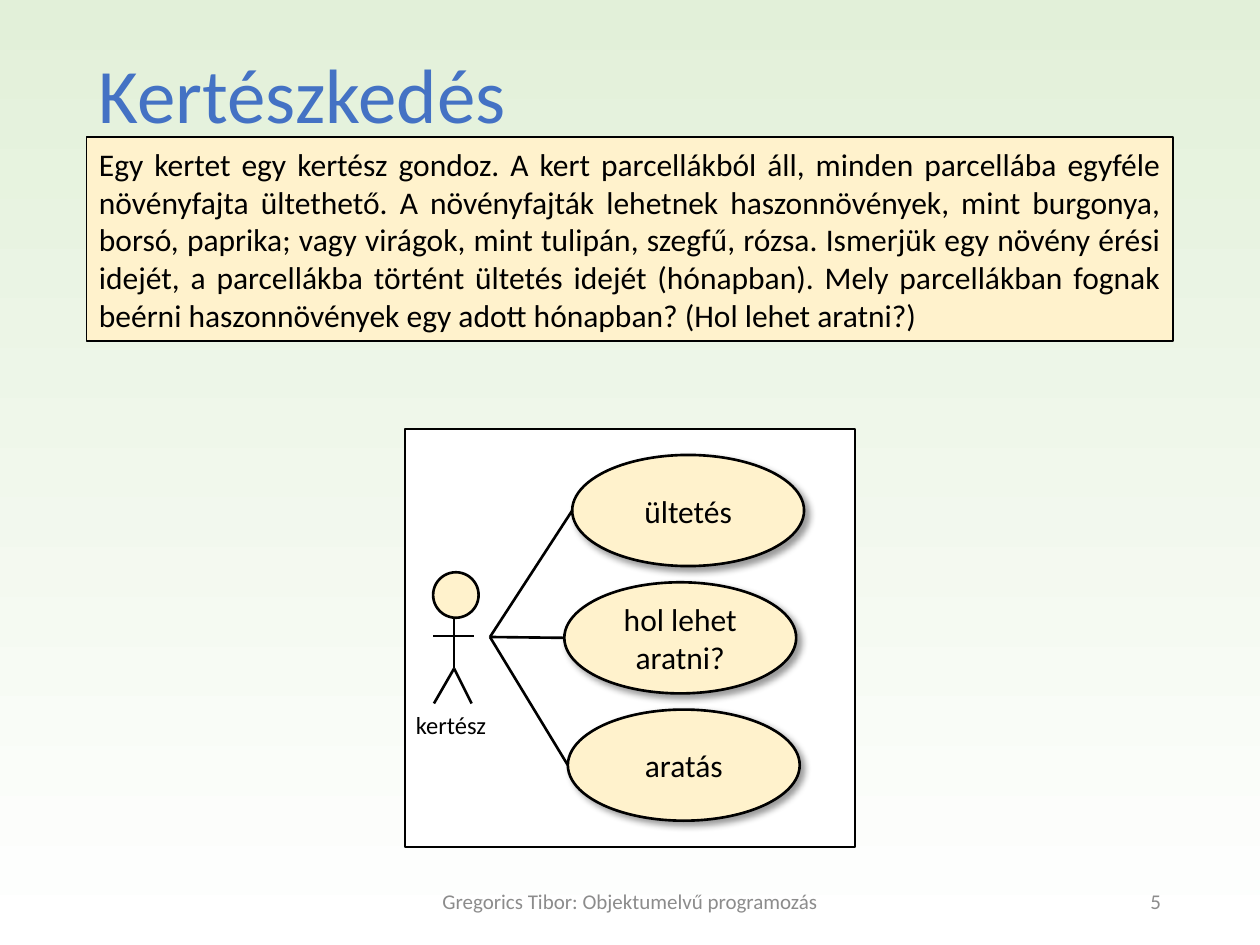
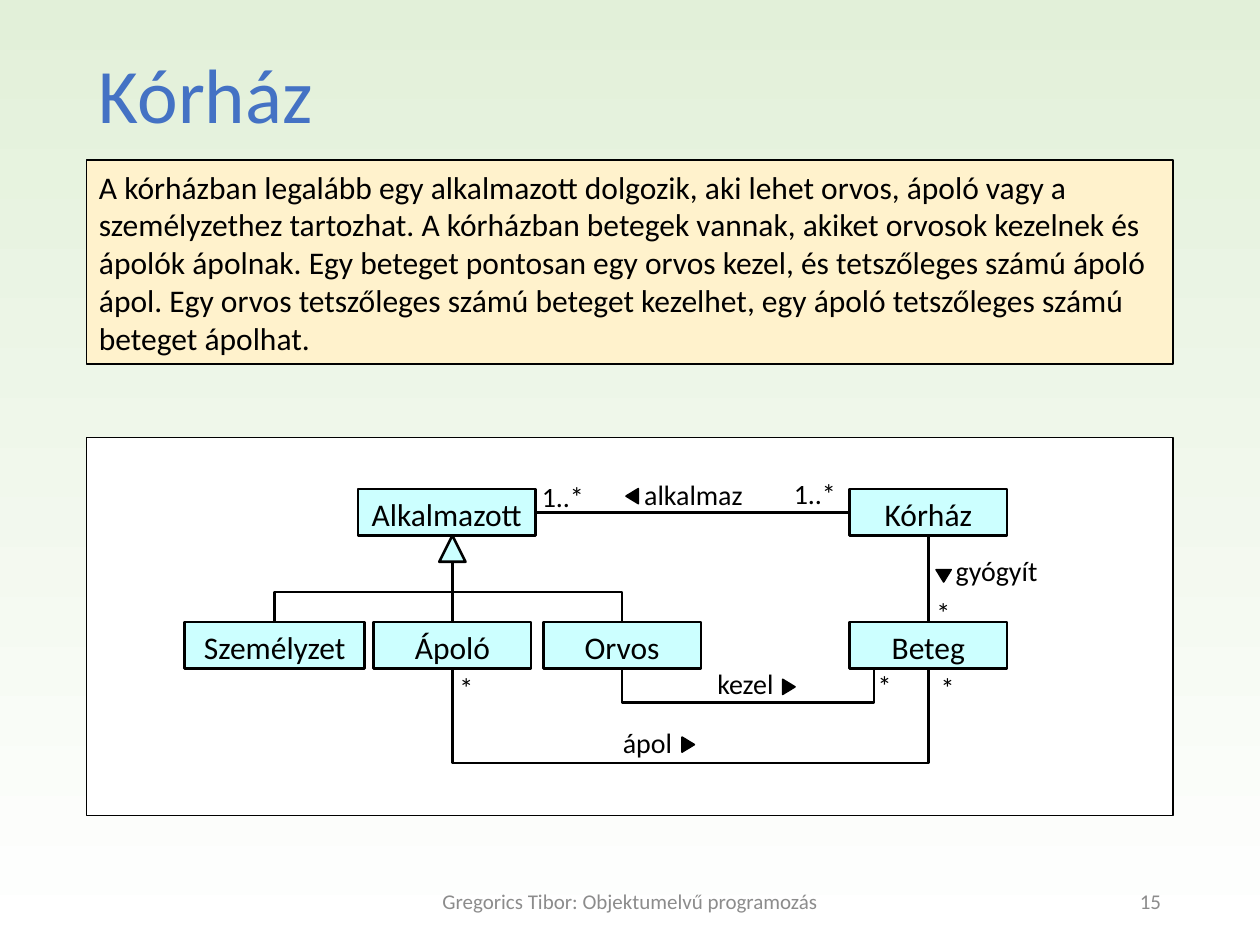
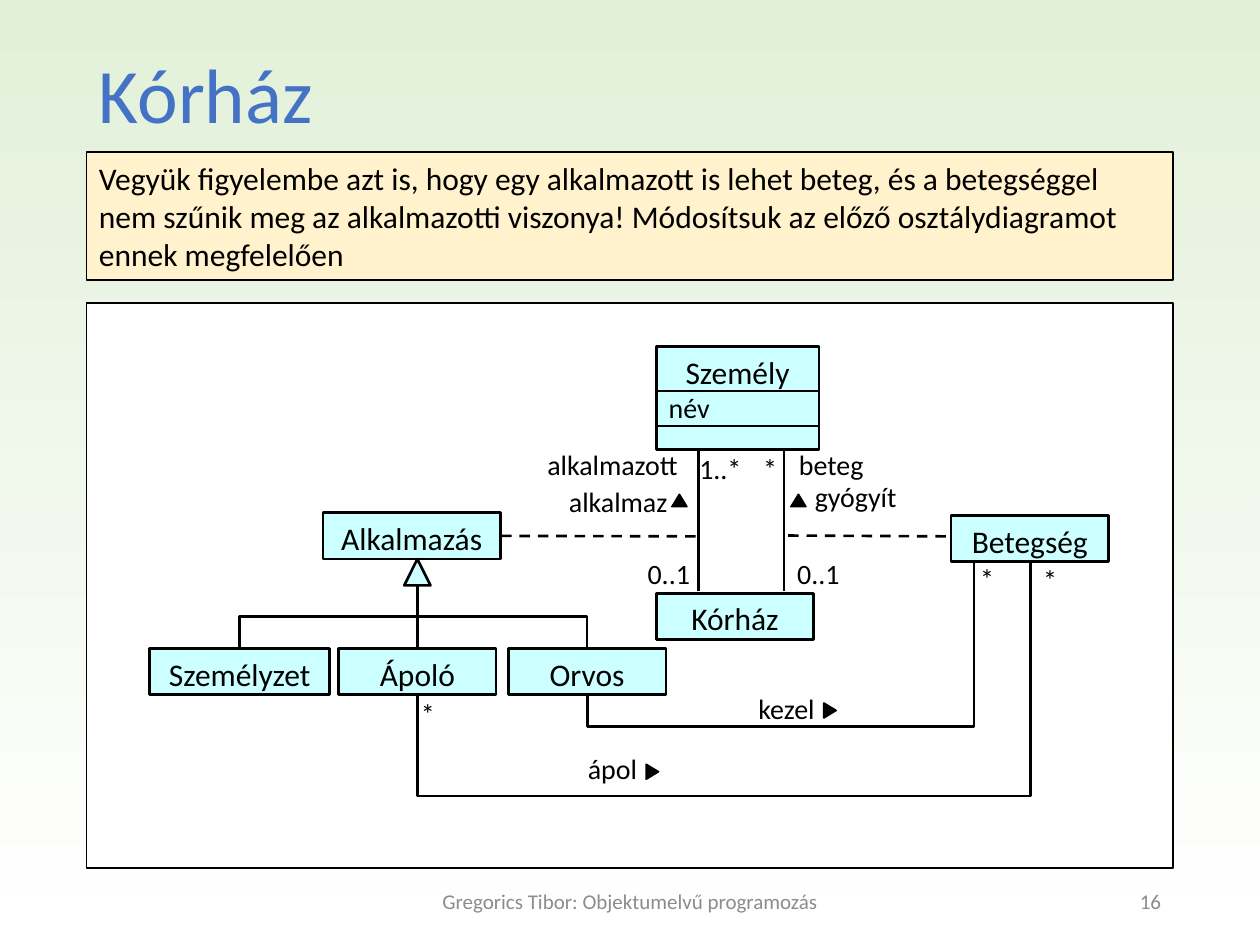
import pptx
import pptx.dml.color
import pptx.enum.dml
import pptx.enum.shapes
import pptx.enum.text
import pptx.oxml
import pptx.oxml.ns
import pptx.util

Pt = pptx.util.Pt
KIND = pptx.enum.shapes.MSO_SHAPE
LINK = pptx.enum.shapes.MSO_CONNECTOR
SIDE = pptx.enum.text.PP_ALIGN
ROW = pptx.enum.text.MSO_ANCHOR
NS = pptx.oxml.ns.nsdecls("a")

HUES = {"ink": "000000", "paper": "FFFFFF", "mint": "E2F0D9", "cream": "FFF2CC",
        "cyan": "CCFFFF", "blue": "4472C4", "gray": "8C8C8C"}
FONTS = {
    "title": {"size": Pt(44), "hue": "blue"},
    "body": {"size": Pt(18), "hue": "ink"},
    "label": {"size": Pt(16), "hue": "ink"},
    "actor": {"size": Pt(14), "hue": "ink"},
    "foot": {"size": Pt(12), "hue": "gray"},
}
TOP, LEFT, BOTTOM, RIGHT = range(4)
EDGE, SPAN = 49.5, 621
HIGH = 26.5  # height of class boxes and labels
WIDE = 90    # width of an ordinary class box


def tint(name):
    return pptx.dml.color.RGBColor.from_string(HUES[name])


# Basic parts
def write(shape, text, style, align=SIDE.LEFT, anchor=ROW.TOP, wrap=True):
    frame = shape.text_frame
    for key, val in {"word_wrap": wrap, "vertical_anchor": anchor}.items():
        setattr(frame, key, val)
    para = frame.paragraphs[0]
    add_run(para, text, style, align)
    return para


def add_run(para, text, style, align):
    para.alignment = align
    run = para.add_run()
    run.text = text
    look = dict(FONTS[style], name="Calibri")
    run.font.color.rgb = tint(look.pop("hue"))
    for key, val in look.items():
        setattr(run.font, key, val)


def note(slide, box, text, style, **look):
    area = slide.shapes.add_textbox(*map(Pt, box))
    return write(area, text, style, **look)


def draw(slide, kind, box, fill, weight=1.5):
    shape = slide.shapes.add_shape(kind, *map(Pt, box))
    shape.shadow.inherit = False
    if fill:
        shape.fill.solid()
        shape.fill.fore_color.rgb = tint(fill)
    else:
        shape.fill.background()
    shape.line.color.rgb = tint("ink")
    shape.line.width = Pt(weight)
    return shape


def wire(slide, start, end, kind=LINK.STRAIGHT, dash=False):
    line = slide.shapes.add_connector(kind, *map(Pt, (*start, *end)))
    line.line.color.rgb = tint("ink")
    line.line.width = Pt(1.5)
    if dash:
        line.line.dash_style = pptx.enum.dml.MSO_LINE.DASH
    line._element.spPr.append(pptx.oxml.parse_xml(f"<a:effectLst {NS}/>"))
    return line


def bend(slide, start, end, turn):
    """Elbow that leaves start downwards, crosses at height turn, and reaches end."""
    (x1, y1), (x2, y2) = start, end
    y2 = max(y2, y1 + 0.5)
    run, drop = abs(x2 - x1), y2 - y1
    line = wire(slide, start, end, LINK.ELBOW)
    sizes = {"left": (x1 + x2 - drop) / 2, "top": (y1 + y2 - run) / 2,
             "width": drop, "height": run}
    for key, val in sizes.items():
        setattr(line, key, Pt(val))
    props = line._element.spPr
    frame = props.find(pptx.oxml.ns.qn("a:xfrm"))
    for key, val in {"rot": "5400000", "flipH": "0", "flipV": str(int(x2 > x1))}.items():
        frame.set(key, val)
    ratio = round((turn - y1) / drop * 100000)
    guides = props.find(pptx.oxml.ns.qn("a:prstGeom")).get_or_add_avLst()
    guides.append(pptx.oxml.parse_xml(f'<a:gd {NS} name="adj1" fmla="val {ratio}"/>'))


def shade(shape):
    props = shape._element.spPr
    props.remove(props.find(pptx.oxml.ns.qn("a:effectLst")))
    props.append(pptx.oxml.parse_xml(
        f'<a:effectLst {NS}><a:outerShdw blurRad="{Pt(4)}" dist="{Pt(3)}" dir="2700000" '
        f'algn="tl" rotWithShape="0"><a:srgbClr val="{HUES["ink"]}">'
        '<a:alpha val="40000"/></a:srgbClr></a:outerShdw></a:effectLst>'))


# Shared frame of every slide
def page(deck, title, number, task, box, align=SIDE.LEFT):
    slide = deck.slides.add_slide(deck.slide_layouts[6])
    head = note(slide, (EDGE, 29, SPAN, 104), title, "title")
    head.line_spacing = 0.9
    note(slide, (238.5, 500.5, 243, 29), "Gregorics Tibor: Objektumelvű programozás",
         "foot", align=SIDE.CENTER, anchor=ROW.MIDDLE)
    note(slide, (508.5, 500.5, 162, 29), str(number), "foot",
         align=SIDE.RIGHT, anchor=ROW.MIDDLE)
    brief = draw(slide, KIND.RECTANGLE, box, "cream", 1)
    write(brief, task, "body", align=align, anchor=ROW.MIDDLE)
    return slide


def panel(slide, box):
    draw(slide, KIND.RECTANGLE, box, "paper", 1)

    def at(x, y):
        return box[0] + x, box[1] + y
    return at


# Use case diagram
def actor(slide, at):
    for start, end in [((28, 107), (28, 137)), ((28, 137), (38, 157)),
                       ((28, 137), (16.5, 157)), ((16, 118.5), (39.5, 118.5))]:
        wire(slide, at(*start), at(*end))
    draw(slide, KIND.OVAL, (*at(16, 82), 26, 26), "cream")
    note(slide, (*at(-1, 157), 55, 24), "kertész", "actor", wrap=False)


def cases(slide, box):
    at = panel(slide, box)
    actor(slide, at)
    wide, high = 132.5, 63.5
    for row, (name, x) in enumerate([("ültetés", 95.5), ("hol lehet aratni?", 91),
                                     ("aratás", 93)]):
        y = 15 + 72.75 * row
        oval = draw(slide, KIND.OVAL, (*at(x, y), wide, high), "cream")
        shade(oval)
        write(oval, name, "body", SIDE.CENTER, ROW.MIDDLE)
        wire(slide, at(x, y + high / 2), at(48.5, 119))


# Class diagrams
def entity(slide, spot, name, wide=WIDE, high=HIGH):
    box = draw(slide, KIND.RECTANGLE, (*spot, wide, high), "cyan")
    write(box, name, "body", SIDE.CENTER)
    return box


def tree(slide, spot, name, drop):
    """Base class at spot with its three heirs drop points lower."""
    x, y = spot
    base = entity(slide, spot, name, 101.5)
    tip, foot = x + 54, y + HIGH + 15
    draw(slide, KIND.ISOSCELES_TRIANGLE, (tip - 7.5, y + HIGH, 15, 15), "cyan")
    for heir, shift, wide in [("Személyzet", -99, 103), ("Ápoló", 9, WIDE),
                              ("Orvos", 106, WIDE)]:
        entity(slide, (x + shift, y + drop), heir, wide)
        mid = x + shift + wide / 2
        if mid == tip:
            wire(slide, (tip, foot), (mid, y + drop))
        else:
            bend(slide, (tip, foot), (mid, y + drop), (foot + y + drop) / 2)
    return base


def marks(slide, at, labels, heads):
    for text, x, y, wide in labels:
        align = SIDE.CENTER if text.isalpha() else SIDE.LEFT
        note(slide, (*at(x, y), wide, HIGH), text, "label", align=align)
    for x, y, turn in heads:
        head = draw(slide, KIND.ISOSCELES_TRIANGLE, (*at(x, y), 8.5, 7), "ink", 1)
        head.rotation = turn


def ward(slide, box):
    at = panel(slide, box)
    staff = tree(slide, at(155, 29.5), "Alkalmazott", 76)
    house = entity(slide, at(436, 29.5), "Kórház")
    sick = entity(slide, at(436, 105.5), "Beteg")
    for one, out, two, into in [(house, LEFT, staff, RIGHT), (sick, TOP, house, BOTTOM)]:
        line = wire(slide, (0, 0), (0, 0))
        line.begin_connect(one, out)
        line.end_connect(two, into)
    bend(slide, at(450, 132), at(306, 132), at(0, 151)[1])
    bend(slide, at(481, 132), at(209, 132), at(0, 185)[1])
    marks(slide, at, [
        ("alkalmaz", 306, 19.5, 81.5), ("gyógyít", 481, 62.5, 78),
        ("ápol", 281.5, 161, 78), ("kezel", 346, 127.5, 61),
        ("1..*", 253, 20.5, 42), ("1..*", 397, 18.5, 42),
        ("*", 206, 129.5, 17), ("*", 445, 128.5, 17),
        ("*", 481, 129.5, 17), ("*", 478.5, 87, 17),
    ], [(397, 139, 90), (307.5, 30, 270), (339.5, 172, 90), (485.5, 75.5, 180)])


def person(slide, spot):
    box = entity(slide, spot, "Személy", 93, 59)
    add_run(box.text_frame.add_paragraph(), "név", "label", SIDE.LEFT)
    draw(slide, KIND.RECTANGLE, (spot[0], spot[1] + 25.5, 93, 20), None)


def roles(slide, box):
    at = panel(slide, box)
    job = tree(slide, at(135, 120), "Alkalmazás", 77.5)
    entity(slide, at(325.5, 166), "Kórház")
    entity(slide, at(494, 121.5), "Betegség")
    person(slide, at(325.5, 25))
    for x in (349.5, 398.5):
        wire(slide, at(x, 165), at(x, 84))
    wire(slide, at(348, 133.5), at(236.5, 133), dash=True).end_connect(job, RIGHT)
    wire(slide, at(491, 133.5), at(397, 133), dash=True)
    bend(slide, at(507, 148), at(286, 224), at(0, 242)[1])
    bend(slide, at(539.5, 148), at(189, 224), at(0, 282)[1])
    marks(slide, at, [
        ("alkalmazott", 254.5, 79, 92), ("beteg", 396, 79, 59),
        ("alkalmaz", 263, 100.5, 81.5), ("gyógyít", 400.5, 97.5, 78),
        ("ápol", 261.5, 253, 78), ("kezel", 369.5, 218.5, 61),
        ("1..*", 343, 81.5, 42), ("*", 379.5, 81.5, 24),
        ("0..1", 313.5, 141.5, 42), ("0..1", 399, 141.5, 42),
        ("*", 184, 221.5, 17), ("*", 503.5, 144.5, 17), ("*", 539.5, 145, 17),
    ], [(420.5, 229.5, 90), (319, 264.5, 90), (334.5, 109.5, 0), (402.5, 109.5, 0)])


def main():
    deck = pptx.Presentation()
    deck.slide_width, deck.slide_height = Pt(720), Pt(540)

    # Background
    fill = deck.slide_master.background.fill
    fill.gradient()
    fill.gradient_angle = 90
    for stop, name in zip(fill.gradient_stops, ("paper", "mint")):
        stop.color.rgb = tint(name)

    # Slides
    cases(page(
        deck, "Kertészkedés", 5,
        "Egy kertet egy kertész gondoz. A kert parcellákból áll, minden parcellába egyféle "
        "növényfajta ültethető. A növényfajták lehetnek haszonnövények, mint burgonya, "
        "borsó, paprika; vagy virágok, mint tulipán, szegfű, rózsa. Ismerjük egy növény "
        "érési idejét, a parcellákba történt ültetés idejét (hónapban). Mely parcellákban "
        "fognak beérni haszonnövények egy adott hónapban? (Hol lehet aratni?)",
        (EDGE, 78.5, SPAN, 116.5), SIDE.JUSTIFY), (231.5, 245, 257, 239))
    ward(page(
        deck, "Kórház", 15,
        "A kórházban legalább egy alkalmazott dolgozik, aki lehet orvos, ápoló vagy a "
        "személyzethez tartozhat. A kórházban betegek vannak, akiket orvosok kezelnek és "
        "ápolók ápolnak. Egy beteget pontosan egy orvos kezel, és tetszőleges számú ápoló "
        "ápol. Egy orvos tetszőleges számú beteget kezelhet, egy ápoló tetszőleges számú "
        "beteget ápolhat.",
        (EDGE, 91.5, SPAN, 116.5)), (EDGE, 250, SPAN, 216))
    roles(page(
        deck, "Kórház", 16,
        "Vegyük figyelembe azt is, hogy egy alkalmazott is lehet beteg, és a betegséggel "
        "nem szűnik meg az alkalmazotti viszonya! Módosítsuk az előző osztálydiagramot "
        "ennek megfelelően",
        (EDGE, 87, SPAN, 73)), (EDGE, 173, SPAN, 323))
    deck.save("out.pptx")


if __name__ == "__main__":
    main()
